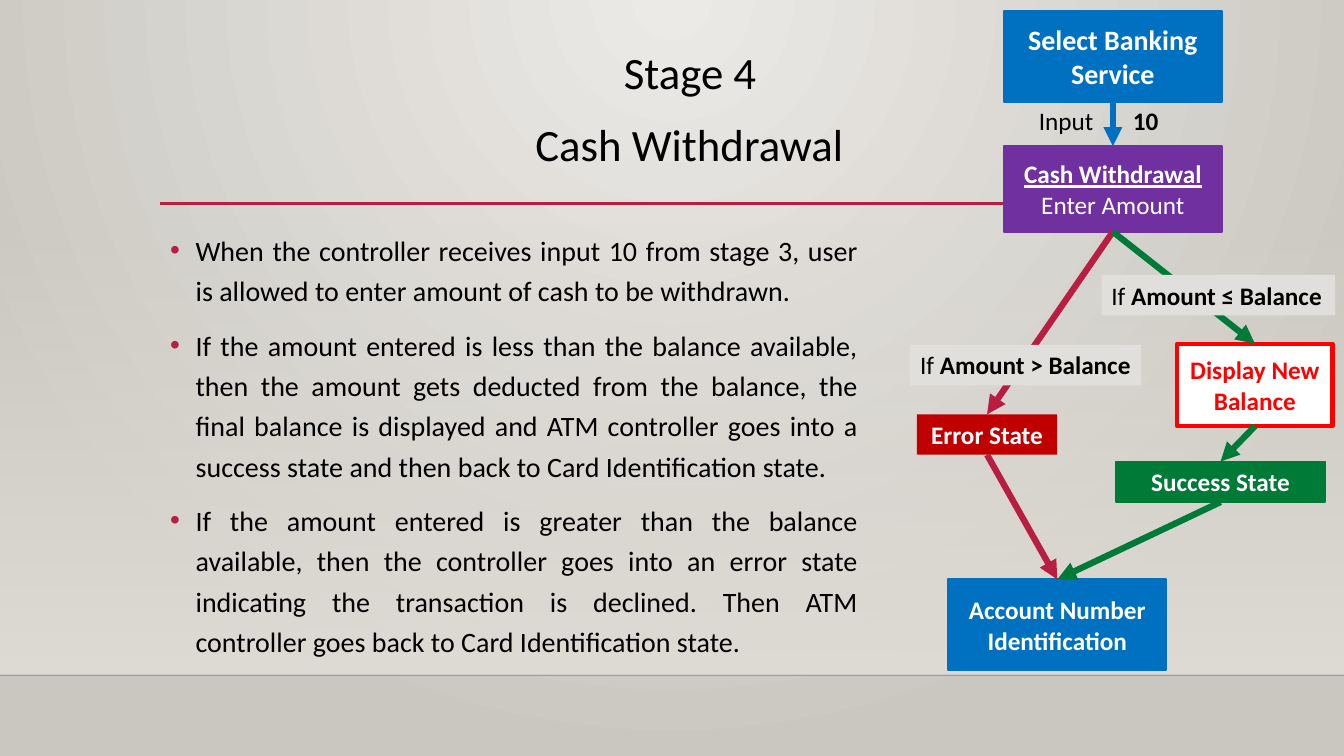
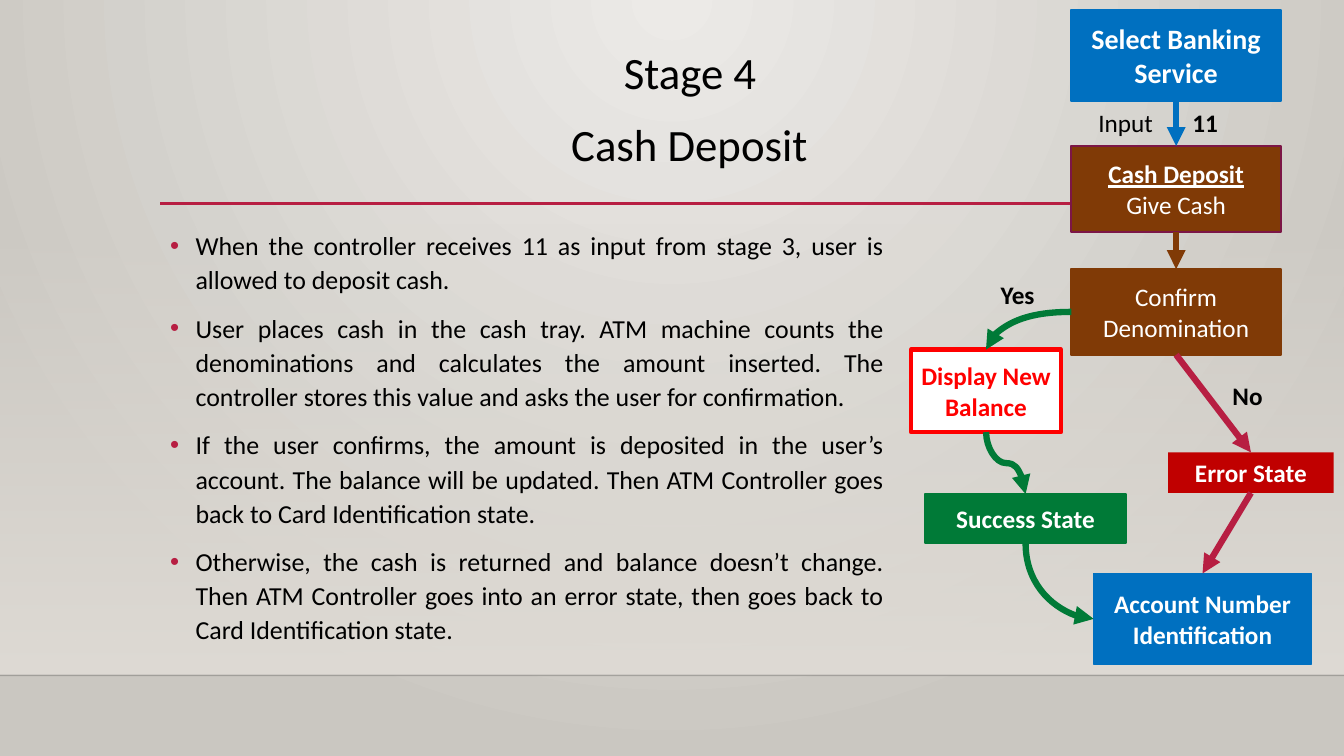
import pptx
import pptx.dml.color
import pptx.enum.shapes
import pptx.enum.text
import pptx.oxml.ns
import pptx.util
from lxml import etree

Cm = pptx.util.Cm
Pt = pptx.util.Pt
qn = pptx.oxml.ns.qn
kinds = pptx.enum.shapes.MSO_CONNECTOR
rect = pptx.enum.shapes.MSO_SHAPE.RECTANGLE
align = pptx.enum.text.PP_ALIGN
middle = pptx.enum.text.MSO_ANCHOR.MIDDLE

black, white = "000000", "FFFFFF"
blue, green, brown = "0070C0", "007A37", "803A06"
rose, red, violet = "B71E42", "FF0000", "7030A0"


def tint(fill, shade):
    fill.solid()
    fill.fore_color.rgb = pptx.dml.color.RGBColor.from_string(shade)


def wire(shapes, kind, ends, shade, thick):
    line = shapes.add_connector(kind, *[Cm(end) for end in ends])
    tint(line.line.fill, shade)
    line.line.width = Pt(thick)
    etree.SubElement(line.element.spPr, qn("a:effectLst"))
    return line


styles = {
    "select": ("Select Banking Service", blue, blue, 1.25, white, 20),
    "draw": ("Cash Withdrawal\nEnter Amount", violet, violet, 1.25, white, 18),
    "save": ("Cash Deposit\nGive Cash", brown, "7C1646", 1.25, white, 18),
    "check": ("Confirm Denomination", brown, brown, 1.25, white, 18),
    "error": ("Error State", "C00000", None, 0, white, 18),
    "success": ("Success State", green, green, 1.25, white, 18),
    "show": ("Display New Balance", white, red, 3, red, 18),
    "account": ("Account Number Identification", blue, blue, 1.25, white, 18),
}

pages = [
    {
        "title": "Cash Withdrawal",
        "width": 17.83,
        "size": 20,
        "space": 1.2,
        "points": [
            "When the controller receives input 10 from stage 3, user is allowed to enter amount of cash to be withdrawn.",
            "If the amount entered is less than the balance available, then the amount gets deducted from the balance, the final balance is displayed and ATM controller goes into a success state and then back to Card Identification state.",
            "If the amount entered is greater than the balance available, then the controller goes into an error state indicating the transaction is declined. Then ATM controller goes back to Card Identification state.",
        ],
        "boxes": {
            "select": (25.3, 0.28, 5.49, 2.29),
            "draw": (25.3, 3.68, 5.49, 2.16),
            "error": (23.11, 10.44, 3.53, 1.02),
            "success": (28.12, 11.63, 5.28, 1.02),
            "account": (23.9, 14.6, 5.49, 2.29),
            "show": (29.67, 8.66, 3.91, 2.08),
        },
        "links": [
            ("select", 2, "draw", 0, blue, None),
            ("draw", 2, "error", 0, rose, None),
            ("draw", 2, "show", 0, green, None),
            ("show", 2, "success", 0, green, None),
            ("error", 2, "account", 0, rose, None),
            ("success", 2, "account", 0, green, None),
        ],
        "labels": [
            ("Input\t", "10", 25.93, 2.54, 4.85, None),
            ("If ", "Amount > Balance", 22.94, 8.69, 5.82, "E1DFDB"),
            ("If ", "Amount ≤ Balance", 27.76, 6.93, 5.89, "E1DFDB"),
        ],
    },
    {
        "title": "Cash Deposit",
        "width": 18.47,
        "size": 18.5,
        "space": 1.1,
        "points": [
            "When the controller receives 11 as input from stage 3, user is allowed to deposit cash.",
            "User places cash in the cash tray. ATM machine counts the denominations and calculates the amount inserted. The controller stores this value and asks the user for confirmation.",
            "If the user confirms, the amount is deposited in the user’s account. The balance will be updated. Then ATM Controller goes back to Card Identification state.",
            "Otherwise, the cash is returned and balance doesn’t change. Then ATM Controller goes into an error state, then goes back to Card Identification state.",
        ],
        "boxes": {
            "select": (27, 0.25, 5.28, 2.29),
            "save": (27, 3.68, 5.28, 2.16),
            "check": (27, 6.78, 5.28, 2.16),
            "error": (29.44, 11.4, 4.17, 1.02),
            "success": (23.32, 12.45, 5.05, 1.24),
            "account": (27.56, 14.45, 5.49, 2.29),
            "show": (22.96, 8.81, 3.78, 2.08),
        },
        "links": [
            ("select", 2, "save", 0, blue, None),
            ("save", 2, "check", 0, brown, None),
            ("check", 2, "error", 0, rose, None),
            ("error", 2, "account", 0, rose, None),
            ("check", 1, "show", 0, green, "curvedConnector2"),
            ("show", 2, "success", 0, green, "curvedConnector3"),
            ("success", 2, "account", 1, green, "curvedConnector2"),
        ],
        "labels": [
            ("Input\t", "11", 27.43, 2.59, 4.85, None),
            ("", "Yes", 24.97, 6.91, 1.5, None),
            ("", "No", 30.81, 9.47, 1.5, None),
        ],
    },
]

deck = pptx.Presentation()
deck.slide_width, deck.slide_height = Cm(33.87), Cm(19.05)
layout = deck.slide_layouts[5]

back = layout.background.fill
back.gradient()
for stop, shade in zip(back.gradient_stops, ("ECEAE7", "CAC7C1")):
    stop.color.rgb = pptx.dml.color.RGBColor.from_string(shade)
grad = layout.element.find(".//" + qn("a:gradFill"))
grad.remove(grad.find(qn("a:lin")))
ring = etree.SubElement(grad, qn("a:path"), path="circle")
etree.SubElement(ring, qn("a:fillToRect"), l="43000", t="0", r="43000", b="100000")

for number, page in enumerate(pages):
    slide = deck.slides.add_slide(layout)
    shapes = slide.shapes

    if number == 0:
        band = shapes.add_shape(rect, 0, Cm(5.61), deck.slide_width, Cm(11.4))
        band.shadow.inherit = False
        band.line.fill.background()
        band.fill.gradient()
        band.fill.gradient_angle = 270
        for stop in band.fill.gradient_stops:
            stop.color.rgb = pptx.dml.color.RGBColor.from_string("DFDBD5")
        edge = wire(shapes, kinds.STRAIGHT, (0, 17.02, 33.87, 17.02), "000001", 1)
        rule = wire(shapes, kinds.STRAIGHT, (4.04, 5.13, 30.73, 5.13), rose, 2.5)
        for part, alpha in ((band, "0"), (edge, "20000")):
            shade = part.element.find(".//" + qn("a:srgbClr"))
            etree.SubElement(shade, qn("a:alpha"), val=alpha)
        for part in (band, edge, rule):
            layout.shapes.element.append(part.element)

    title = shapes.title
    title.left, title.top, title.width, title.height = Cm(4.04), Cm(2.24), Cm(26.67), Cm(2.92)
    title.text_frame.vertical_anchor = middle
    stage = shapes.add_textbox(Cm(15.27), Cm(0.99), Cm(4.24), Cm(1.63))
    for head, text, space in ((title, page["title"], 0.9), (stage, "Stage 4", 1)):
        head.text_frame.text = text
        head.text_frame.word_wrap = True
        head.text_frame.auto_size = pptx.enum.text.MSO_AUTO_SIZE.NONE
        para = head.text_frame.paragraphs[0]
        para.alignment = align.CENTER
        para.line_spacing = space
        para.font.size = Pt(32)
        tint(para.font.fill, black)

    body = shapes.add_textbox(Cm(4.04), Cm(5.59), Cm(page["width"]), Cm(11.23))
    body.text_frame.word_wrap = True
    body.text_frame.text = "\n".join(page["points"])
    for para in body.text_frame.paragraphs:
        para.alignment = align.JUSTIFY
        para.line_spacing = page["space"]
        para.space_before = Pt(10)
        para.font.size = Pt(page["size"])
        tint(para.font.fill, black)
    for props in body.element.iter(qn("a:pPr")):
        props.set("marL", str(Cm(0.64)))
        props.set("indent", str(-Cm(0.64)))
        color = etree.Element(qn("a:buClr"))
        etree.SubElement(color, qn("a:srgbClr"), val=rose)
        face = etree.Element(qn("a:buFont"), typeface="Arial")
        mark = etree.Element(qn("a:buChar"), char="•")
        for item in (color, face, mark):
            props.find(qn("a:defRPr")).addprevious(item)

    boxes = {}
    for name, place in page["boxes"].items():
        text, fill, edge, thick, ink, size = styles[name]
        box = shapes.add_shape(rect, *[Cm(side) for side in place])
        boxes[name] = box
        box.shadow.inherit = False
        tint(box.fill, fill)
        if edge:
            tint(box.line.fill, edge)
            box.line.width = Pt(thick)
        else:
            box.line.fill.background()
        frame = box.text_frame
        frame.text = text
        frame.word_wrap = True
        frame.vertical_anchor = middle
        for row, para in enumerate(frame.paragraphs):
            para.alignment = align.CENTER
            para.font.size = Pt(size)
            para.font.bold = row == 0 and name != "check"
            para.font.underline = row == 0 and len(frame.paragraphs) > 1
            tint(para.font.fill, ink)

    for start, out, end, into, shade, curve in page["links"]:
        kind = kinds.CURVE if curve else kinds.STRAIGHT
        link = wire(shapes, kind, (0, 0, 0, 0), shade, 4.5)
        link.begin_connect(boxes[start], out)
        link.end_connect(boxes[end], into)
        form = link.element.spPr
        etree.SubElement(form.find(qn("a:ln")), qn("a:tailEnd"), type="triangle")
        if curve:
            form.find(qn("a:prstGeom")).set("prst", curve)
        if curve and out == 2:
            wide, high = link.width, link.height
            link.left += (wide - high) // 2
            link.top += (high - wide) // 2
            link.width, link.height = high, wide
            turn = form.find(qn("a:xfrm"))
            turn.set("rot", "16200000")
            turn.set("flipH", "1")

    for plain, strong, left, top, width, fill in page["labels"]:
        label = shapes.add_textbox(Cm(left), Cm(top), Cm(width), Cm(1.02))
        if fill:
            tint(label.fill, fill)
        label.text_frame.word_wrap = True
        label.text_frame.margin_right = 0
        para = label.text_frame.paragraphs[0]
        para.font.size = Pt(18)
        tint(para.font.fill, black)
        if plain:
            para.add_run().text = plain
        run = para.add_run()
        run.text = strong
        run.font.bold = True
        if plain.endswith("\t"):
            tabs = etree.Element(qn("a:tabLst"))
            etree.SubElement(tabs, qn("a:tab"), pos=str(Cm(2.37)), algn="l")
            label.element.find(".//" + qn("a:defRPr")).addprevious(tabs)

    for shape in shapes:
        if shape.has_text_frame:
            for para in shape.text_frame.paragraphs:
                para.font.name = "Calibri"

deck.save("out.pptx")
